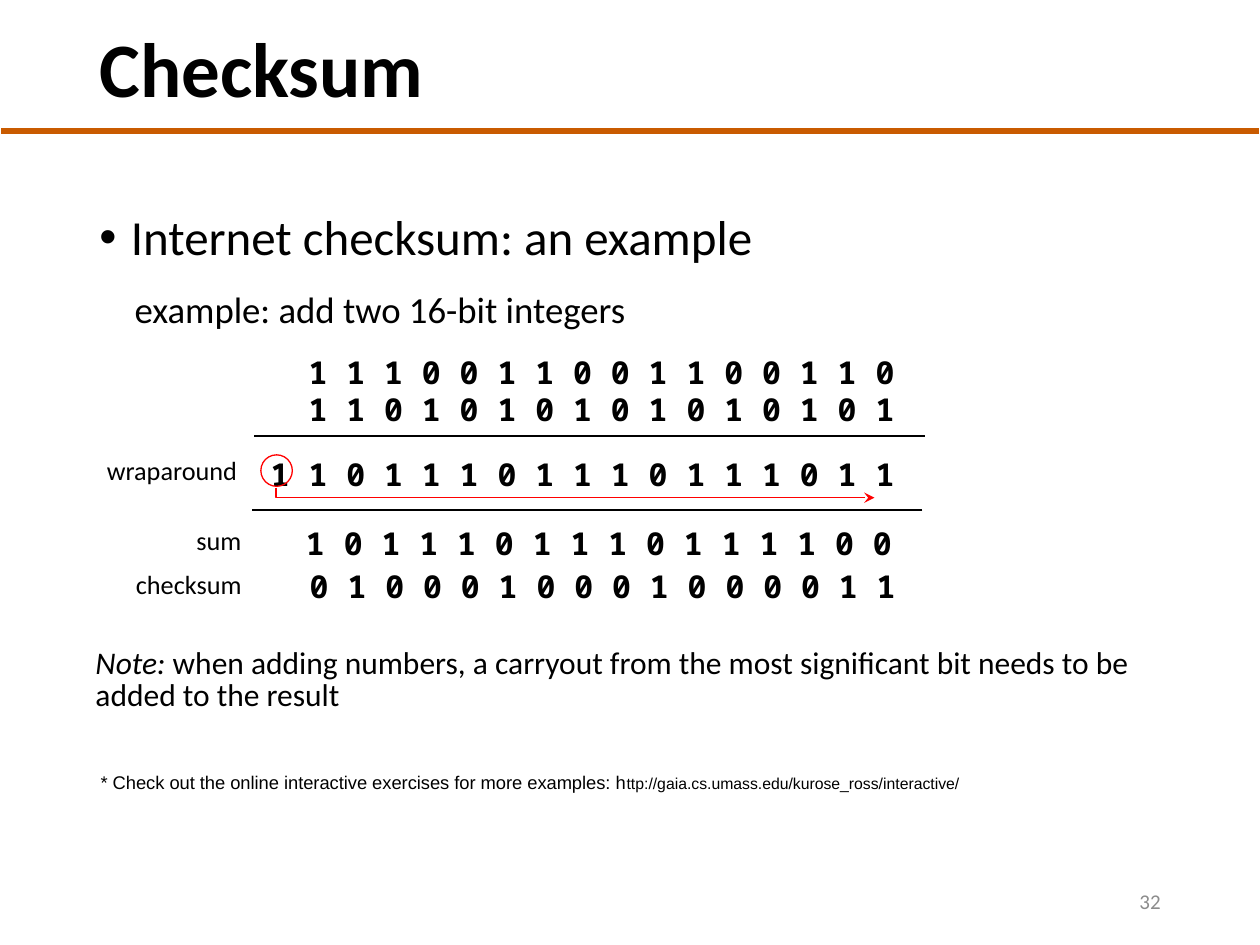
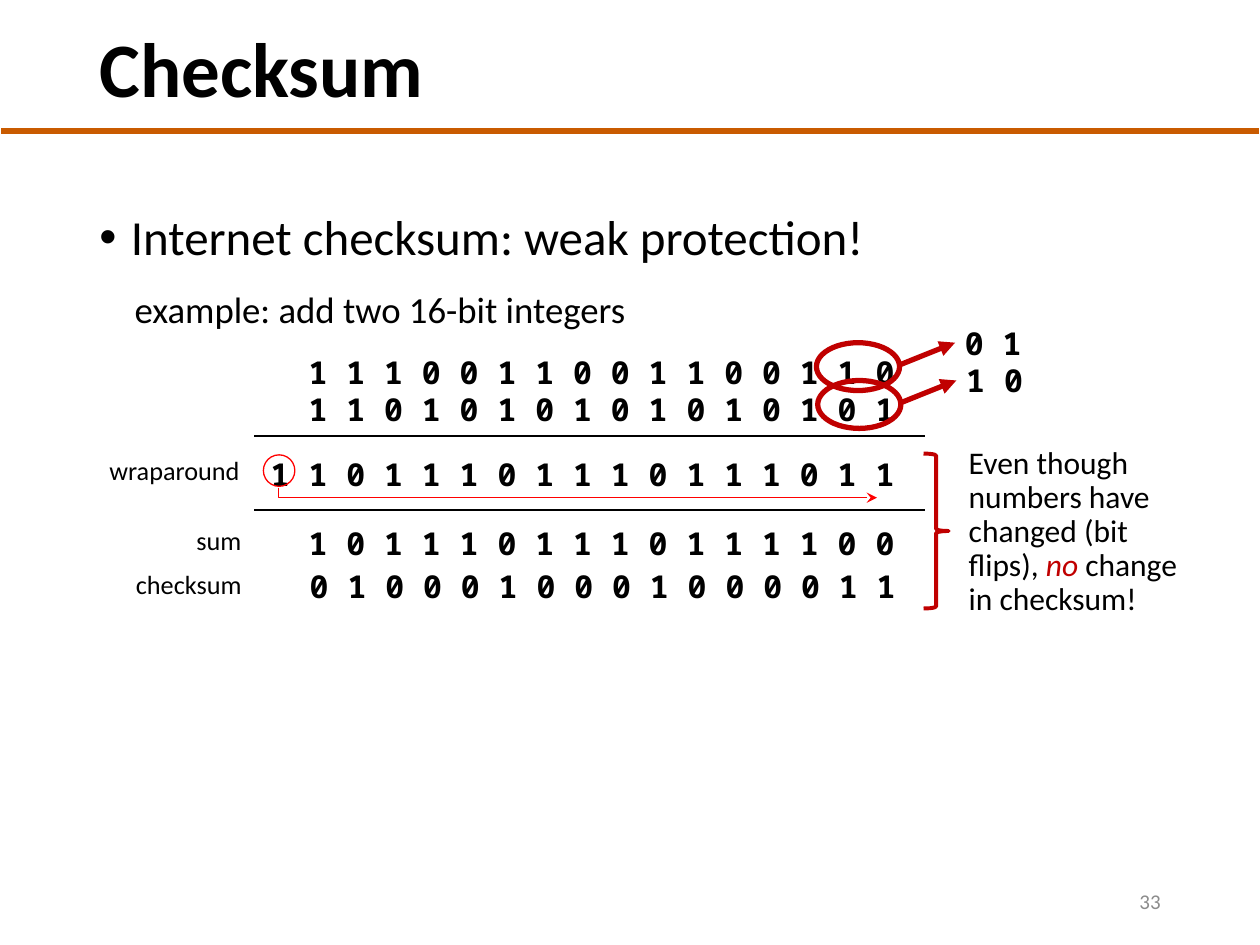
from lxml.etree import SubElement
from pptx import Presentation
from pptx.dml.color import RGBColor
from pptx.enum.shapes import MSO_CONNECTOR, MSO_SHAPE
from pptx.enum.text import MSO_ANCHOR, PP_ALIGN
from pptx.oxml.ns import qn
from pptx.util import Inches, Pt

COLORS = {
    "ink": "000000",
    "band": "C95B00",
    "carry": "FF0000",
    "accent": "C00000",
    "number": "8C8C8C",
}
BODY_FONT = "Calibri"
DIGIT_FONT = "Noto Sans Mono"
NOTE_FONT = "Arial"


def add_run(paragraph, text, size, color="ink", font=BODY_FONT, bold=False, italic=False):
    run = paragraph.add_run()
    run.text = text
    run.font.name = font
    run.font.size = Pt(size)
    run.font.bold = bold
    run.font.italic = italic
    run.font.color.rgb = RGBColor.from_string(COLORS[color])


def add_box(slide, left, top, width, height, wrap=True, anchor=MSO_ANCHOR.TOP,
            spacing=1.0, align=PP_ALIGN.LEFT):
    """Add an empty text box and return its first paragraph."""
    box = slide.shapes.add_textbox(Inches(left), Inches(top), Inches(width), Inches(height))
    frame = box.text_frame
    frame.word_wrap = wrap
    frame.vertical_anchor = anchor
    paragraph = frame.paragraphs[0]
    paragraph.line_spacing = spacing
    paragraph.alignment = align
    return paragraph


def style_line(shape, color, width, arrow=None):
    shape.line.color.rgb = RGBColor.from_string(COLORS[color])
    shape.line.width = Pt(width)
    if arrow:
        SubElement(shape.line._get_or_add_ln(), qn("a:tailEnd"), type=arrow)


def add_line(slide, start, end, color="ink", width=1, arrow=None):
    x1, y1, x2, y2 = (Inches(value) for value in (*start, *end))
    line = slide.shapes.add_connector(MSO_CONNECTOR.STRAIGHT, x1, y1, x2, y2)
    style_line(line, color, width, arrow)
    SubElement(line._element.spPr, qn("a:effectLst"))


def add_outline(slide, preset, left, top, width, height, color, line_width):
    shape = slide.shapes.add_shape(
        preset, Inches(left), Inches(top), Inches(width), Inches(height))
    shape.shadow.inherit = False
    shape.fill.background()
    style_line(shape, color, line_width)


def add_bits(slide, bits, left, top):
    """Write a bit string in spaced monospaced digits."""
    width = 0.3 * len(bits) + 0.08
    paragraph = add_box(slide, left, top, width, 0.4, wrap=False)
    add_run(paragraph, " ".join(bits), 18, font=DIGIT_FONT, bold=True)


def add_row_label(slide, text, left, top, width):
    add_run(add_box(slide, left, top, width, 0.35, wrap=False), text, 15)


def add_carry_arrow(slide, left):
    """Lead the carried bit from its circle to the lowest bit."""
    builder = slide.shapes.build_freeform(Inches(left), Inches(3.87))
    corners = [(left, 3.95), (left + 4.75, 3.95)]
    builder.add_line_segments([(Inches(x), Inches(y)) for x, y in corners], close=False)
    arrow = builder.convert_to_shape()
    arrow.shadow.inherit = False
    arrow.fill.background()
    style_line(arrow, "carry", 0.75, "stealth")


def add_frame(prs, title, topic, number):
    """Start a slide with its title, band, opening bullet and number."""
    slide = prs.slides.add_slide(prs.slide_layouts[6])
    add_line(slide, (0.01, 1.04), (9.99, 1.04), "band", 3)
    heading = add_box(slide, 0.69, 0.15, 7.93, 0.85, anchor=MSO_ANCHOR.MIDDLE, spacing=0.9)
    add_run(heading, title, 44, bold=True)

    bullet = add_box(slide, 0.69, 1.64, 8.62, 0.63, spacing=0.9)
    properties = bullet._p.get_or_add_pPr()
    properties.set("marL", str(Inches(0.25)))
    properties.set("indent", str(-Inches(0.25)))
    SubElement(properties, qn("a:buFont"), typeface="Arial")
    SubElement(properties, qn("a:buChar"), char="•")
    add_run(bullet, topic, 28)

    footer = add_box(slide, 7.06, 6.95, 2.25, 0.4, anchor=MSO_ANCHOR.MIDDLE,
                     align=PP_ALIGN.RIGHT)
    add_run(footer, str(number), 12, "number")
    return slide


def add_addition(slide, shift=0.0):
    """Draw the worked sum; shift moves the wraparound part sideways."""
    example = add_box(slide, 0.97, 2.12, 6.41, 0.6, spacing=1.3)
    add_run(example, "example: add two 16-bit integers", 21)
    add_bits(slide, "1110011001100110", 2.35, 2.75)
    add_bits(slide, "1101010101010101", 2.35, 3.05)
    add_line(slide, (7.34, 3.46), (2.02, 3.46))

    add_bits(slide, "11011101110111011", 2.05, 3.56)
    add_row_label(slide, "wraparound", 0.77 + shift, 3.56, 1.24)
    add_outline(slide, MSO_SHAPE.OVAL, 2.09 + shift, 3.61, 0.25, 0.25, "carry", 0.75)
    add_carry_arrow(slide, 2.21 + shift)
    add_line(slide, (7.34 + shift, 4.05), (2.02 + shift, 4.05))

    add_row_label(slide, "sum", 1.46, 4.11, 0.56)
    add_bits(slide, "1011101110111100", 2.35 + shift, 4.11)
    add_row_label(slide, "checksum", 0.98, 4.46, 1.05)
    add_bits(slide, "0100010001000011", 2.36, 4.45)


def add_bit_flip(slide, flipped, left, top):
    """Ring the last two bits and point to their flipped values."""
    add_outline(slide, MSO_SHAPE.OVAL, left, top, 0.66, 0.38, "accent", 3)
    add_line(slide, (left + 0.65, top + 0.18), (left + 1.1, top), "accent", 3, "triangle")
    add_bits(slide, flipped, left + 1.08, top - 0.2)


def build_example(prs):
    slide = add_frame(prs, "Checksum", "Internet checksum: an example", 32)
    add_addition(slide, shift=-0.02)
    note = add_box(slide, 0.66, 5.1, 8.5, 0.92, spacing=0.85)
    add_run(note, "Note:", 18, italic=True)
    add_run(note, " when adding numbers, a carryout from the most significant bit "
                  "needs to be added to the result", 18)
    exercises = add_box(slide, 0.7, 6.07, 8.08, 0.28)
    add_run(exercises, "* Check out the online interactive exercises for more examples: h",
            10.5, font=NOTE_FONT)
    add_run(exercises, "ttp://gaia.cs.umass.edu/kurose_ross/interactive/", 9, font=NOTE_FONT)


def build_weakness(prs):
    slide = add_frame(prs, "Checksum", "Internet checksum: weak protection!", 33)
    add_addition(slide)
    add_bit_flip(slide, "01", 6.48, 2.72)
    add_bit_flip(slide, "10", 6.49, 3.02)
    add_outline(slide, MSO_SHAPE.RIGHT_BRACE, 7.33, 3.6, 0.2, 1.23, "accent", 2.25)
    remark = add_box(slide, 7.59, 3.5, 1.97, 1.46, spacing=0.9)
    add_run(remark, "Even though numbers have changed (bit flips), ", 18)
    add_run(remark, "no", 18, "accent", italic=True)
    add_run(remark, " change in checksum!", 18)


def main():
    prs = Presentation()
    prs.slide_width = Inches(10)
    prs.slide_height = Inches(7.5)
    build_example(prs)
    build_weakness(prs)
    prs.save("out.pptx")


if __name__ == "__main__":
    main()
